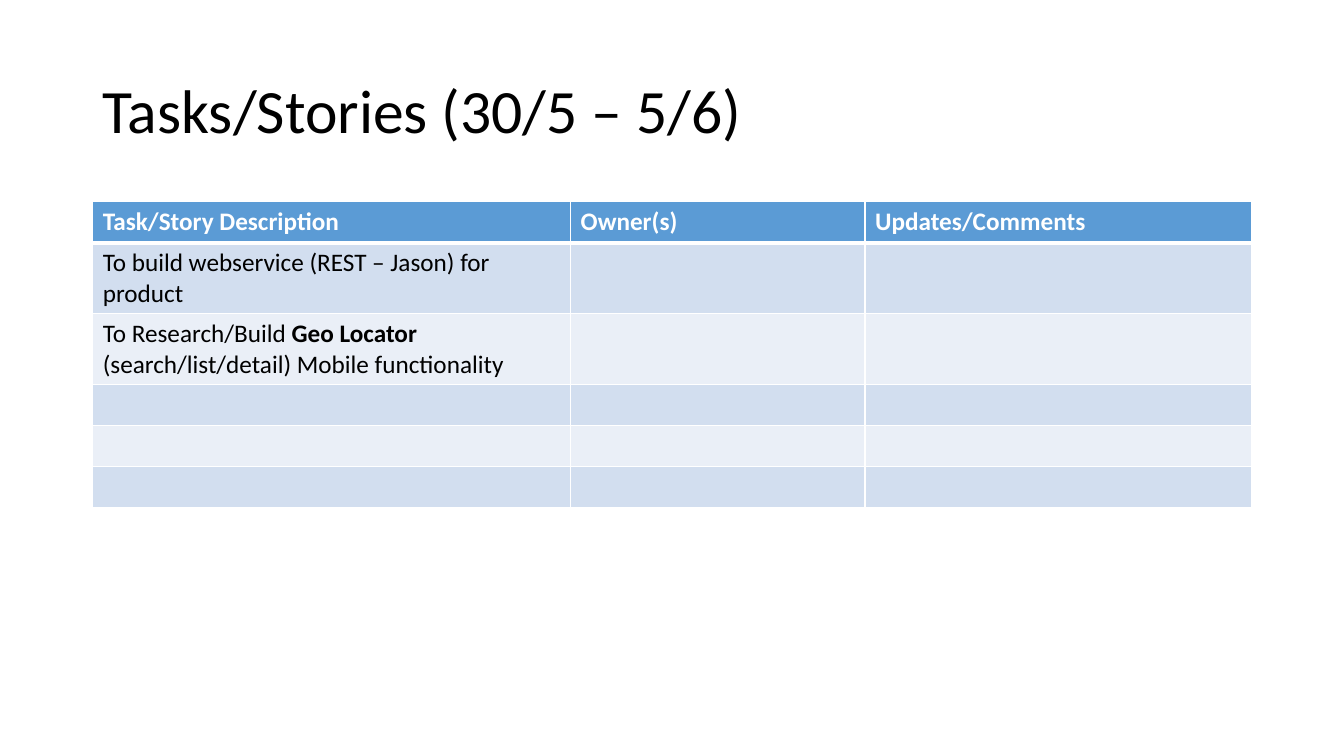
from pptx import Presentation
from pptx.dml.color import RGBColor as RGB
from pptx.enum.text import MSO_ANCHOR as Anchor
from pptx.oxml.ns import qn
from pptx.util import Inches, Pt
from lxml.etree import SubElement

COLORS = {
    "black": "000000",
    "white": "FFFFFF",
    "header": "5B9BD5",
    "odd": "D2DEEF",
    "even": "EAEFF7",
}
FONT = "Calibri"
LEFT, WIDTH = 0.92, 11.5
COL_WIDTHS = [4.74, 2.92, 3.83]
LINE_H, TWO_LINE_H = 0.41, 0.7
ROW_HEIGHTS = [LINE_H] + [TWO_LINE_H] * 2 + [LINE_H] * 3
HEADINGS = ["Task/Story Description", "Owner(s)", "Updates/Comments"]
TASKS = [
    [("To build webservice (REST – Jason) for product", False)],
    [
        ("To Research/Build ", False),
        ("Geo Locator ", True),
        ("(search/list/detail) Mobile functionality", False),
    ],
]


def add_run(p, text, size, color, bold=False):
    r = p.add_run()
    r.text = text
    r.font.name = FONT
    r.font.size = Pt(size)
    r.font.bold = bold
    r.font.color.rgb = RGB.from_string(COLORS[color])


def add_title(s, text):
    box = s.shapes.add_textbox(Inches(LEFT), Inches(0.4), Inches(WIDTH), Inches(1.45))
    tf = box.text_frame
    tf.word_wrap = True
    tf.vertical_anchor = Anchor.MIDDLE
    p = tf.paragraphs[0]
    p.line_spacing = 0.9
    add_run(p, text, 44, "black")


def set_borders(cell, top, bottom):
    tc_pr = cell._tc.get_or_add_tcPr()
    for side, width in (("L", 1), ("R", 1), ("T", top), ("B", bottom)):
        ln = SubElement(tc_pr, qn(f"a:ln{side}"), w=str(Pt(width)))
        fill = SubElement(ln, qn("a:solidFill"))
        SubElement(fill, qn("a:srgbClr"), val=COLORS["white"])


def style_cell(cell, row):
    set_borders(cell, 3 if row == 1 else 1, 3 if row == 0 else 1)
    band = "header" if row == 0 else "odd" if row % 2 else "even"
    cell.fill.solid()
    cell.fill.fore_color.rgb = RGB.from_string(COLORS[band])
    font = cell.text_frame.paragraphs[0].font
    font.name = FONT
    font.size = Pt(18)


def add_task_table(s):
    table = s.shapes.add_table(
        len(ROW_HEIGHTS), len(COL_WIDTHS),
        Inches(LEFT), Inches(2), Inches(WIDTH), Inches(sum(ROW_HEIGHTS)),
    ).table
    for col, width in zip(table.columns, COL_WIDTHS):
        col.width = Inches(width)
    for i, height in enumerate(ROW_HEIGHTS):
        table.rows[i].height = Inches(height)
        for cell in table.rows[i].cells:
            style_cell(cell, i)
    for j, heading in enumerate(HEADINGS):
        add_run(table.cell(0, j).text_frame.paragraphs[0], heading, 18, "white", True)
    for i, parts in enumerate(TASKS, start=1):
        p = table.cell(i, 0).text_frame.paragraphs[0]
        for text, bold in parts:
            add_run(p, text, 18, "black", bold)


def main():
    prs = Presentation()
    prs.slide_width, prs.slide_height = Inches(13.33), Inches(7.5)
    s = prs.slides.add_slide(prs.slide_layouts[6])
    add_title(s, "Tasks/Stories (30/5 – 5/6)")
    add_task_table(s)
    prs.save("out.pptx")


main()
